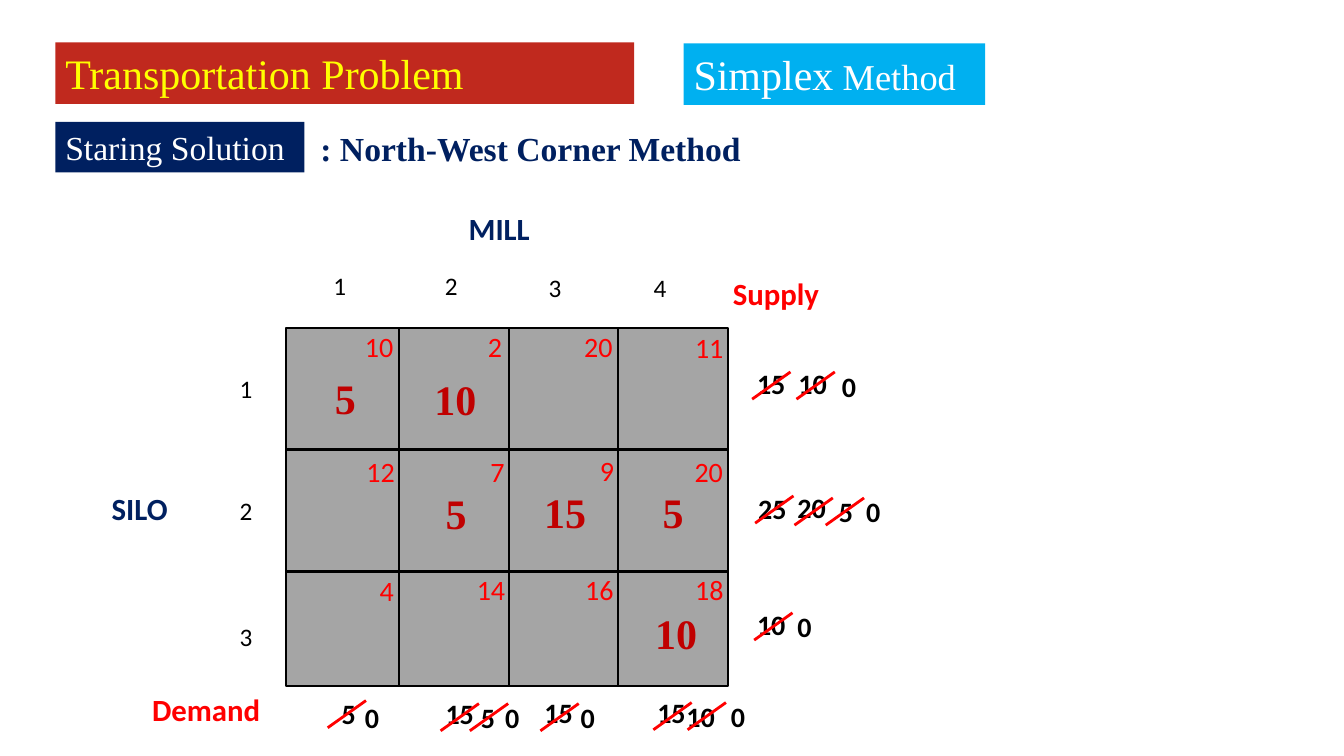
import pptx
import pptx.dml.color
import pptx.enum.shapes
import pptx.enum.text
import pptx.oxml
import pptx.util
from pptx.util import Inches

RED, NAVY, BLACK, WHITE = "FF0000", "002060", "000000", "FFFFFF"
RECTANGLE = pptx.enum.shapes.MSO_SHAPE.RECTANGLE
ALIGN = pptx.enum.text.PP_ALIGN
ANCHOR = pptx.enum.text.MSO_ANCHOR


def color(value):
    return pptx.dml.color.RGBColor.from_string(value)


def add_text(text, left, top, width, height, size=20, ink=BLACK, bold=False,
             font="Calibri", centered=True, fill=None):
    """Add a text box, or a filled rectangle; text may be (text, size) pairs."""
    box = [Inches(length) for length in (left, top, width, height)]
    if fill:
        shape = slide.shapes.add_shape(RECTANGLE, *box)
        shape.shadow.inherit = False
        shape.fill.solid()
        shape.fill.fore_color.rgb = color(fill)
        shape.line.fill.background()
    else:
        shape = slide.shapes.add_textbox(*box)
    frame = shape.text_frame
    frame.word_wrap = True
    frame.vertical_anchor = ANCHOR.MIDDLE if centered else ANCHOR.TOP
    paragraph = frame.paragraphs[0]
    paragraph.alignment = ALIGN.CENTER if centered else ALIGN.LEFT
    for words, points in [(text, size)] if isinstance(text, str) else text:
        run = paragraph.add_run()
        run.text = words
        run.font.size = pptx.util.Pt(points)
        run.font.name = font
        run.font.bold = bold
        run.font.color.rgb = color(ink)


presentation = pptx.Presentation()
presentation.slide_width = Inches(13.33)
presentation.slide_height = Inches(7.5)
slide = presentation.slides.add_slide(presentation.slide_layouts[6])

# Grid of cells
column_edges = [2.84, 3.96, 5.05, 6.13, 7.22]
row_edges = [3.25, 4.46, 5.67, 6.81]
for top, bottom in zip(row_edges, row_edges[1:]):
    for left, right in zip(column_edges, column_edges[1:]):
        cell = slide.shapes.add_shape(RECTANGLE, Inches(left), Inches(top),
                                      Inches(right - left), Inches(bottom - top))
        cell.shadow.inherit = False
        cell.fill.solid()
        cell.fill.fore_color.rgb = color("A5A5A5")
        cell.line.color.rgb = color(BLACK)
        cell.line.width = pptx.util.Pt(1.5)

# Mill and silo numbers
for number, left, top, width in [("1", 2.88, 2.48, 0.98), ("2", 4, 2.48, 0.95),
                                 ("3", 5.03, 2.5, 0.95), ("4", 6.07, 2.5, 0.95)]:
    add_text(number, left, top, width, 0.7, size=18)
for number, top in [("1", 3.51), ("2", 4.72), ("3", 5.97)]:
    add_text(number, 2.21, top, 0.46, 0.69, size=18)

# Axis titles
for title, left, top, width, ink in [
        ("SILO", 1.01, 4.81, 0.83, NAVY), ("MILL", 4.55, 2.03, 0.83, NAVY),
        ("Supply", 7.17, 2.68, 1.25, RED), ("Demand", 1.41, 6.8, 1.44, RED)]:
    add_text(title, left, top, width, 0.47, size=22, ink=ink, bold=True, centered=False)

# Unit costs
for cost, left, top, width, height in [
        ("10", 3.49, 3.19, 0.54, 0.5), ("2", 4.69, 3.29, 0.44, 0.3),
        ("20", 5.6, 3.2, 0.67, 0.47), ("11", 6.7, 3.26, 0.67, 0.37),
        ("12", 3.5, 4.43, 0.55, 0.5), ("7", 4.66, 4.49, 0.55, 0.38),
        ("9", 5.82, 4.47, 0.4, 0.39), ("20", 6.76, 4.49, 0.54, 0.38),
        ("4", 3.57, 5.66, 0.53, 0.39), ("14", 4.56, 5.6, 0.62, 0.5),
        ("16", 5.63, 5.58, 0.63, 0.54), ("18", 6.74, 5.6, 0.59, 0.5)]:
    add_text(cost, left, top, width, height, ink=RED)

# Allocations
for amount, left, top in [
        ("5", 3.1, 3.7), ("10", 4.19, 3.71), ("5", 4.2, 4.84),
        ("15", 5.28, 4.83), ("5", 6.35, 4.83), ("10", 6.38, 6.03)]:
    add_text(amount, left, top, 0.65, 0.5, size=30, ink="C00000", bold=True,
             font="Times New Roman")

# Remaining supply by row, then remaining demand by column
for amount, left, top in [
        ("15", 7.38, 3.46), ("10", 7.79, 3.46), ("0", 8.15, 3.49),
        ("25", 7.39, 4.7), ("20", 7.78, 4.69), ("5", 8.12, 4.73), ("0", 8.39, 4.73),
        ("10", 7.38, 5.85), ("0", 7.71, 5.87),
        ("5", 3.19, 6.73), ("0", 3.42, 6.77),
        ("15", 4.29, 6.73), ("5", 4.57, 6.77), ("0", 4.81, 6.77),
        ("15", 5.27, 6.72), ("0", 5.56, 6.77),
        ("15", 6.39, 6.72), ("10", 6.68, 6.76), ("0", 7.05, 6.76)]:
    add_text(amount, left, top, 0.54, 0.69, bold=True)

# Strokes through used amounts, each from its upper right end
for right, top in [(7.84, 3.69), (8.28, 3.69), (7.87, 4.92), (8.26, 4.94),
                   (8.57, 4.94), (7.86, 6.08), (3.63, 6.95), (4.75, 6.98),
                   (5.04, 6.98), (5.74, 6.98), (6.86, 6.97), (7.2, 6.97)]:
    strike = slide.shapes.add_connector(
        pptx.enum.shapes.MSO_CONNECTOR.STRAIGHT, Inches(right), Inches(top),
        Inches(right - 0.38), Inches(top + 0.27))
    strike.line.color.rgb = color(RED)
    strike.line.width = pptx.util.Pt(2)
    properties = strike.element.spPr
    properties.append(pptx.oxml.parse_xml(
        '<a:effectLst xmlns:a="http://schemas.openxmlformats.org/drawingml/2006/main"/>'))

# Headings
for heading, left, top, width, height, size, ink, fill, bold in [
        ("Staring Solution", 0.55, 1.21, 2.47, 0.5, 24, WHITE, NAVY, False),
        ("Transportation Problem", 0.55, 0.42, 5.74, 0.61, 30, "FFFF00", "C0291E", False),
        ([("Simplex", 30), (" Method", 26)], 6.78, 0.43, 2.99, 0.61, 30, WHITE, "00B0F0", False),
        (": North-West Corner Method", 3.08, 1.22, 4.6, 0.5, 24, NAVY, WHITE, True)]:
    add_text(heading, left, top, width, height, size=size, ink=ink, fill=fill,
             bold=bold, font="Times New Roman", centered=False)

presentation.save("out.pptx")
